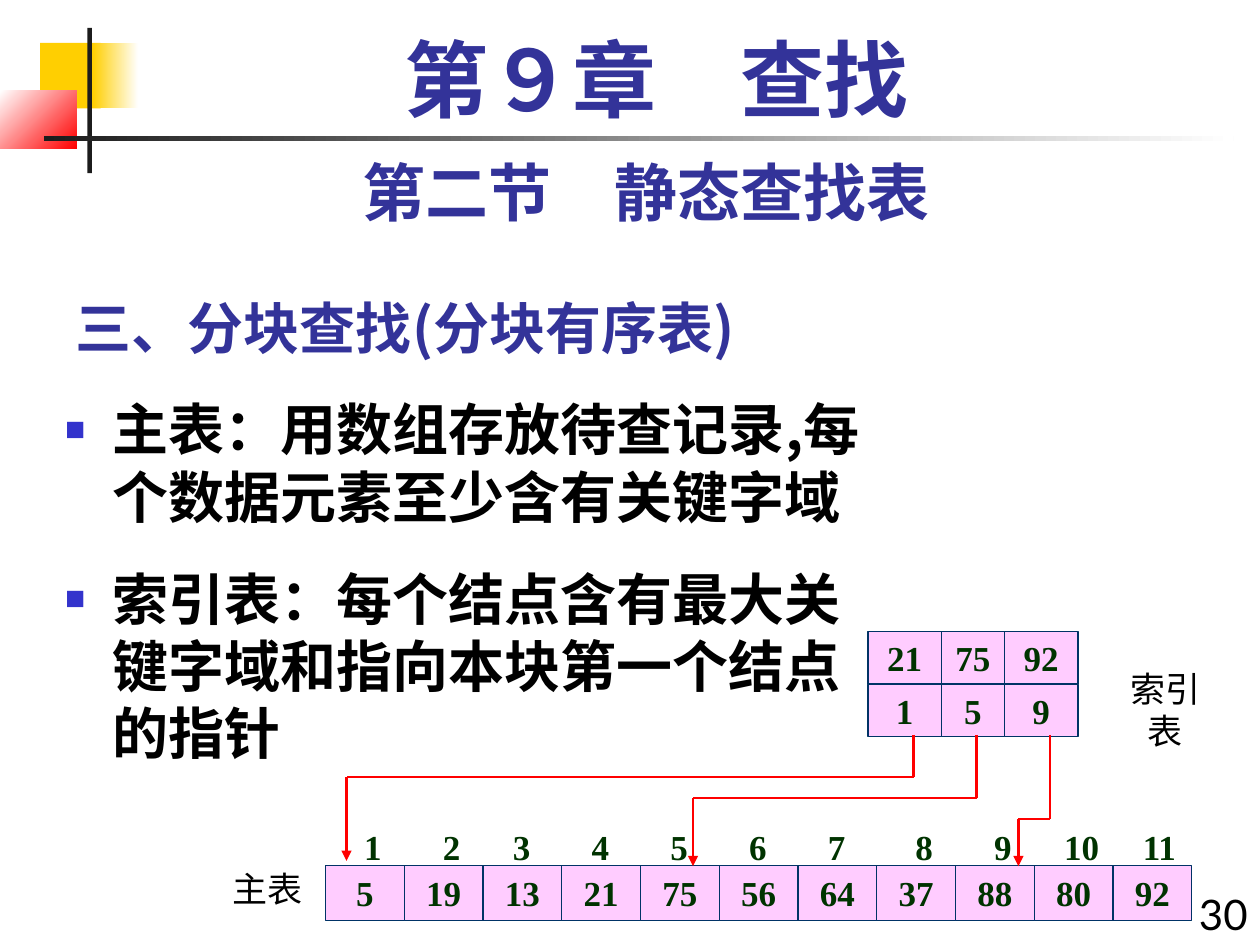
from lxml.etree import SubElement
from pptx import Presentation
from pptx.dml.color import RGBColor
from pptx.enum.shapes import MSO_CONNECTOR, MSO_SHAPE
from pptx.enum.text import MSO_ANCHOR, MSO_AUTO_SIZE, PP_ALIGN
from pptx.oxml.ns import qn
from pptx.util import Pt

HAN, LATIN, SERIF = "Noto Sans CJK SC", "Lato", "Times New Roman"
NAVY, BLACK, GREEN, RED = "333399", "000000", "003300", "FF0000"
LEFT, MID, RIGHT = PP_ALIGN.LEFT, PP_ALIGN.CENTER, PP_ALIGN.RIGHT

TITLE = "三、分块查找(分块有序表)"
POINTS = [
    "主表：用数组存放待查记录,每个数据元素至少含有关键字域",
    "索引表：每个结点含有最大关键字域和指向本块第一个结点的指针",
]
# text, box, font, size, colour, bold, alignment
LABELS = [
    ("30", (672, 504, 48, 42), LATIN, 24, BLACK, False, RIGHT),
    ("第二节\u3000静态查找表".replace("\u3000", "　"), (36, 84, 666, 50), LATIN, 36, NAVY, True, MID),
    ("第９章　查找", (48, 12, 654, 60), SERIF, 48, NAVY, True, MID),
    ("主表", (126, 492, 60, 31.5), LATIN, 20, BLACK, False, LEFT),
    ("索引表", (630, 378, 72, 31.5), LATIN, 20, BLACK, False, MID),
]
# box, colours, angle
DECOR = [
    ((23, 24.5, 34.5, 37.5), ["FFCF01"], 0),
    ((53, 24.5, 26, 37.5), ["FFCF01", "FFFFFF"], 0),
    ((0, 52, 44, 33), ["FFFFFF", RED], 315),
    ((50, 16, 2.5, 83), ["1C1C1C"], 0),
    ((25, 78, 680, 2.5), ["1C1C1C", "FFFFFF"], 0),
]
KEYS = [5, 19, 13, 21, 75, 56, 64, 37, 88, 80, 92]
TABS = [45, 85, 130, 175, 220, 265, 315, 360, 400, 445]
INDEX = [[21, 75, 92], [1, 5, 9]]
# start x, bend y, end x, end y
LINKS = [(522, 444, 198, 492), (558, 456, 396, 495), (600, 468, 582, 495)]
LINK_TOP = 420


def rgb(code):
    return RGBColor.from_string(code)


def pts(*nums):
    return [Pt(n) for n in nums]


def style(para, font, size, color, bold, align):
    para.alignment = align
    for run in para.runs:
        run.font.name = font
        run.font.size = Pt(size)
        run.font.bold = bold
        run.font.color.rgb = rgb(color)
        east = SubElement(run.font._element, qn("a:ea"))
        east.set("typeface", HAN)


def place(shape, box):
    shape.left, shape.top, shape.width, shape.height = pts(*box)


def add_label(shapes, text, box, *look):
    label = shapes.add_textbox(*pts(*box))
    frame = label.text_frame
    frame.word_wrap = True
    frame.text = text
    style(frame.paragraphs[0], *look)
    return label


def add_rect(shapes, box, colors, angle=0):
    rect = shapes.add_shape(MSO_SHAPE.RECTANGLE, *pts(*box))
    rect.shadow.inherit = False
    rect.line.fill.background()
    if len(colors) == 1:
        rect.fill.solid()
        rect.fill.fore_color.rgb = rgb(colors[0])
    else:
        rect.fill.gradient()
        rect.fill.gradient_angle = angle
        for stop, color in zip(rect.fill.gradient_stops, colors):
            stop.color.rgb = rgb(color)
    return rect


def add_cells(shapes, rows, left, top, widths, height):
    for r, row in enumerate(rows):
        for c, key in enumerate(row):
            box = (left + sum(widths[:c]), top + r * height, widths[c], height)
            cell = add_rect(shapes, box, ["FFCCFF"])
            cell.line.color.rgb = rgb("003366")
            cell.line.width = Pt(0.75)
            frame = cell.text_frame
            frame.word_wrap = False
            frame.vertical_anchor = MSO_ANCHOR.MIDDLE
            frame.text = str(key)
            style(frame.paragraphs[0], SERIF, 20, GREEN, True, MID)


def add_link(shapes, start, end, arrow):
    link = shapes.add_connector(MSO_CONNECTOR.STRAIGHT, *pts(*start, *end))
    link.line.color.rgb = rgb(RED)
    link.line.width = Pt(1.5)
    if arrow:
        SubElement(link.line._get_or_add_ln(), qn("a:tailEnd")).set("type", "triangle")
    SubElement(link._element.spPr, qn("a:effectLst"))


def add_bullet(para):
    props = para._p.get_or_add_pPr()
    props.set("marL", str(Pt(27)))
    props.set("indent", str(Pt(-27)))
    color = SubElement(props, qn("a:buClr"))
    SubElement(color, qn("a:srgbClr")).set("val", "3333CC")
    SubElement(props, qn("a:buSzPct")).set("val", "60000")
    SubElement(props, qn("a:buFont")).set("typeface", "Arial")
    SubElement(props, qn("a:buChar")).set("char", "■")


def main():
    deck = Presentation()
    deck.slide_width, deck.slide_height = pts(720, 540)
    slide = deck.slides.add_slide(deck.slide_layouts[1])
    shapes = slide.shapes

    for box, colors, angle in DECOR:
        add_rect(shapes, box, colors, angle)

    title, body = slide.placeholders
    place(title, (36, 156, 450, 54))
    title.text_frame.text = TITLE
    title.text_frame.vertical_anchor = MSO_ANCHOR.BOTTOM
    style(title.text_frame.paragraphs[0], HAN, 32, NAVY, True, LEFT)

    place(body, (30, 222, 480, 318))
    body.text_frame.text = "\n".join(POINTS)
    for para in body.text_frame.paragraphs:
        para.space_before = Pt(20)
        style(para, HAN, 32, BLACK, True, LEFT)
        add_bullet(para)
    for holder in (title, body):
        holder.text_frame.auto_size = MSO_AUTO_SIZE.NONE

    for label in LABELS:
        add_label(shapes, *label)

    table = shapes.add_group_shape().shapes
    places = "\t".join(str(n + 1) for n in range(len(KEYS)))
    ruler = add_label(table, places, (201, 468, 504, 31.5), SERIF, 20, GREEN, True, LEFT)
    props = ruler.text_frame.paragraphs[0]._p.get_or_add_pPr()
    stops = SubElement(props, qn("a:tabLst"))
    for pos in TABS:
        SubElement(stops, qn("a:tab"), pos=str(Pt(pos)), algn="l")
    add_cells(table, [KEYS], 186, 494.5, [45] * len(KEYS), 31.5)
    add_cells(shapes.add_group_shape().shapes, INDEX, 496, 361, [42, 36, 42], 30)

    for x, bend, goal, end in LINKS:
        path = [(x, LINK_TOP), (x, bend), (goal, bend), (goal, end)]
        for n in range(3):
            add_link(shapes, path[n], path[n + 1], arrow=n == 2)

    deck.save("out.pptx")


if __name__ == "__main__":
    main()
